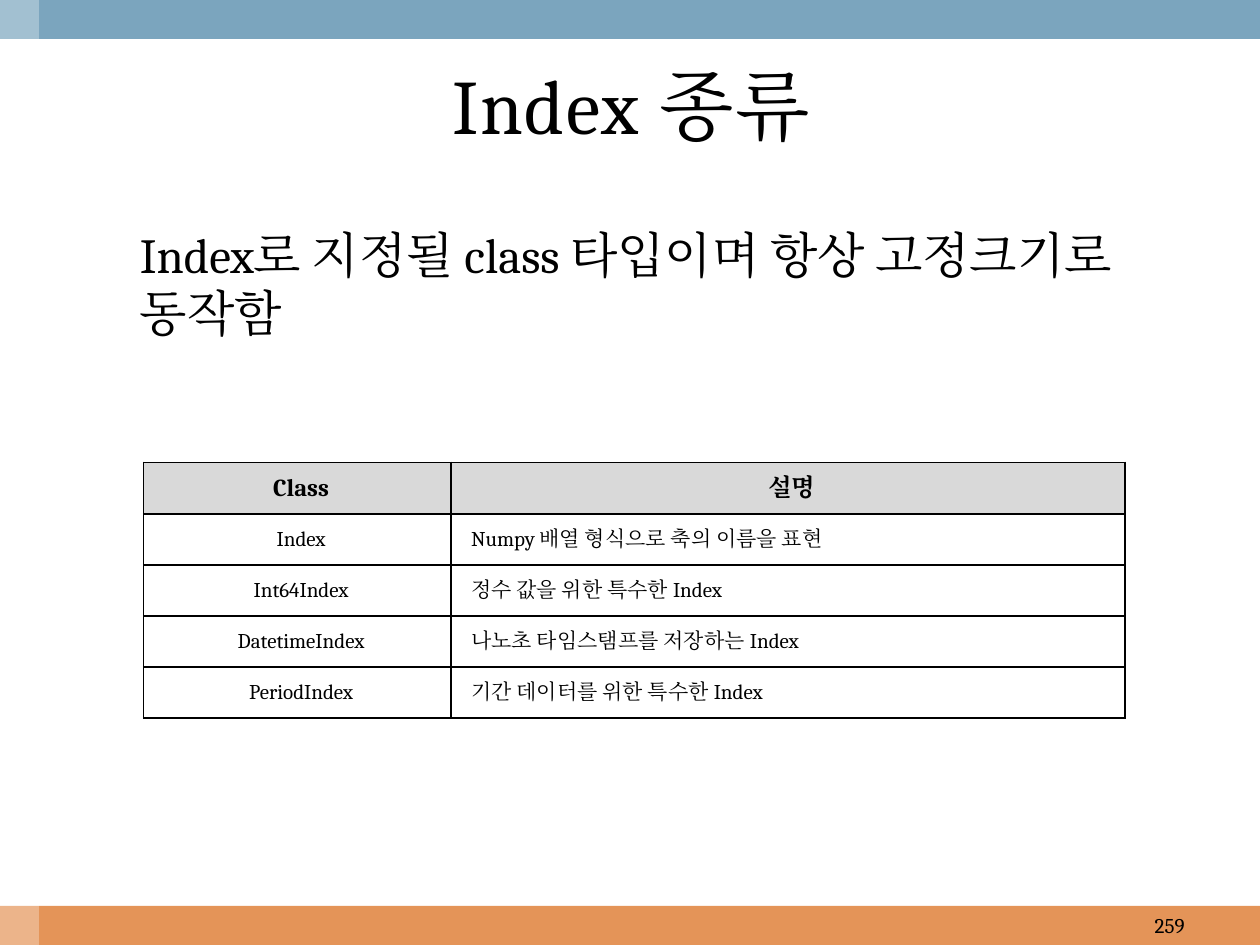
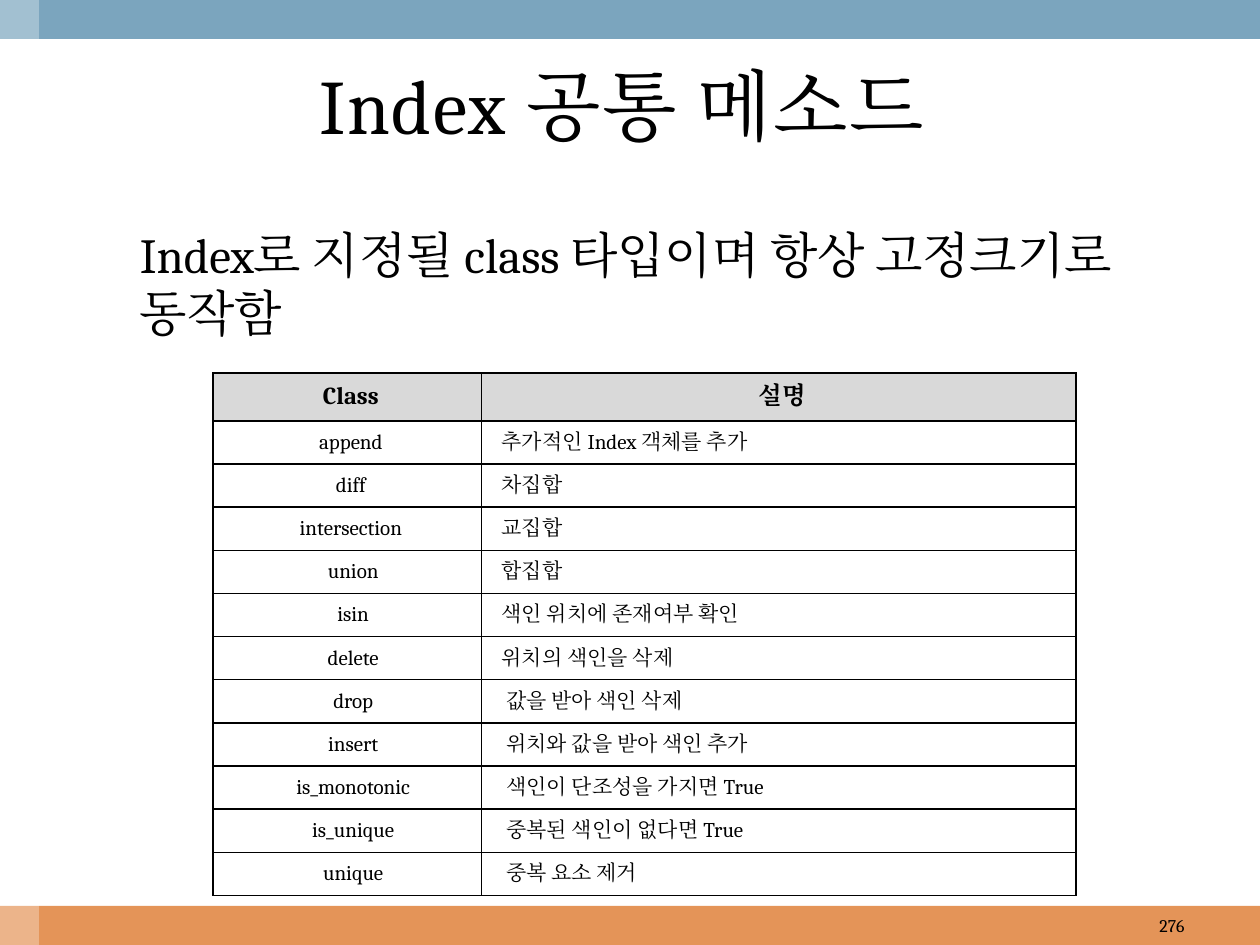
from lxml.etree import SubElement
from pptx import Presentation
from pptx.dml.color import RGBColor
from pptx.enum.shapes import MSO_SHAPE
from pptx.enum.text import MSO_ANCHOR as ANCHOR, PP_ALIGN as ALIGN
from pptx.oxml.ns import qn
from pptx.util import Inches, Pt

SLIDE_W, SLIDE_H, BAND = 10, 7.5, 0.31
BODY = "Index로 지정될 class 타입이며 항상 고정크기로 동작함"
HEADER = ("Class", "설명")

INDEX_CLASSES = [
    ("Index", "Numpy 배열 형식으로 축의 이름을 표현"),
    ("Int64Index", "정수 값을 위한 특수한 Index"),
    ("DatetimeIndex", "나노초 타임스탬프를 저장하는 Index"),
    ("PeriodIndex", "기간 데이터를 위한 특수한 Index"),
]
INDEX_METHODS = [
    ("append", "추가적인 Index 객체를 추가"),
    ("diff", "차집합"),
    ("intersection", "교집합"),
    (" union", "합집합"),
    (" isin", "색인 위치에 존재여부 확인"),
    (" delete", "위치의 색인을 삭제"),
    (" drop", " 값을 받아 색인 삭제"),
    (" insert", " 위치와 값을 받아 색인 추가"),
    (" is_monotonic", " 색인이 단조성을 가지면 True"),
    (" is_unique", " 중복된 색인이 없다면 True"),
    (" unique", " 중복 요소 제거"),
]


def rgb(code):
    return RGBColor.from_string(code)


class Deck:
    font = "Cambria"
    ink, paper, head = "000000", "FFFFFF", "D9D9D9"
    blue, orange = "7BA5BE", "E49458"

    def __init__(self):
        self.prs = Presentation()
        self.prs.slide_width = Inches(SLIDE_W)
        self.prs.slide_height = Inches(SLIDE_H)
        self.s = None

    def slide(self, title, number, number_size):
        """Start a slide with its bands, title, body line and number."""
        self.s = self.prs.slides.add_slide(self.prs.slide_layouts[5])
        self.bar(0, SLIDE_H - BAND, SLIDE_W, BAND, self.orange)
        self.bar(0, 0, SLIDE_W, BAND, self.blue)
        self.bar(0, 0, BAND, SLIDE_H, self.paper, alpha=30)
        self.title(title)
        self.text(BODY, 0.51, 1.73, 9, 1, 28, indent=0.5)
        self.text(number, 7.17, SLIDE_H - BAND, 2.33, BAND, number_size,
                  ALIGN.RIGHT, ANCHOR.MIDDLE)

    def bar(self, x, y, w, h, color, alpha=None):
        sp = self.s.shapes.add_shape(MSO_SHAPE.RECTANGLE, Inches(x), Inches(y),
                                     Inches(w), Inches(h))
        sp.shadow.inherit = False
        sp.line.fill.background()
        sp.fill.solid()
        sp.fill.fore_color.rgb = rgb(color)
        if alpha is not None:
            clr = sp.fill._xPr.find(".//" + qn("a:srgbClr"))
            SubElement(clr, qn("a:alpha"), val=str(alpha * 1000))

    def style(self, p, size, align=ALIGN.LEFT, bold=False):
        p.alignment = align
        f = p.font
        f.name, f.size, f.bold = self.font, Pt(size), bold
        f.color.rgb = rgb(self.ink)
        # Korean text takes the same font
        for script in ("a:ea", "a:cs"):
            SubElement(f._element, qn(script), typeface=self.font)

    def title(self, text):
        sp = self.s.shapes.title
        sp.left, sp.top = Inches(0.33), Inches(0.31)
        sp.width, sp.height = Inches(9.36), Inches(1.03)
        tf = sp.text_frame
        tf.text = text
        tf.vertical_anchor = ANCHOR.MIDDLE
        p = tf.paragraphs[0]
        self.style(p, 44, ALIGN.CENTER)
        p.font._element.set("spc", "100")

    def text(self, text, x, y, w, h, size, align=ALIGN.LEFT,
             anchor=ANCHOR.TOP, indent=0):
        sp = self.s.shapes.add_textbox(Inches(x), Inches(y), Inches(w), Inches(h))
        tf = sp.text_frame
        tf.word_wrap = True
        tf.vertical_anchor = anchor
        tf.margin_left = Inches(0.1 + indent)
        tf.text = text
        self.style(tf.paragraphs[0], size, align)

    def table(self, rows, x, y, widths, height, head_height):
        row_height = (height - head_height) / len(rows)
        rows = [HEADER, *rows]
        frame = self.s.shapes.add_table(len(rows), len(widths), Inches(x), Inches(y),
                                        Inches(sum(widths)), Inches(height))
        table = frame.table
        table.first_row = table.horz_banding = False
        for col, width in zip(table.columns, widths):
            col.width = Inches(width)
        for i, row in enumerate(rows):
            table.rows[i].height = Inches(row_height if i else head_height)
            for j, text in enumerate(row):
                self.cell(table.cell(i, j), text, i == 0, j == 0)

    def cell(self, cell, text, is_head, is_name):
        cell.text = text
        cell.vertical_anchor = ANCHOR.MIDDLE
        cell.margin_left, cell.margin_right = Inches(0.16), Inches(0.1)
        cell.margin_top = cell.margin_bottom = Inches(0.05)
        align = ALIGN.CENTER if is_head or is_name else ALIGN.LEFT
        self.style(cell.text_frame.paragraphs[0], 14 if is_head else 12, align, is_head)
        # Borders go before the fill in the cell properties
        tc_pr = cell._tc.get_or_add_tcPr()
        for side in ("a:lnL", "a:lnR", "a:lnT", "a:lnB"):
            ln = SubElement(tc_pr, qn(side), w=str(Pt(1)))
            fill = SubElement(ln, qn("a:solidFill"))
            SubElement(fill, qn("a:srgbClr"), val=self.ink)
        cell.fill.solid()
        cell.fill.fore_color.rgb = rgb(self.head if is_head else self.paper)


def main():
    deck = Deck()

    # Index classes
    deck.slide("Index 종류", "259", 12)
    deck.table(INDEX_CLASSES, 1.14, 3.67, (2.44, 5.35), 2.03, 0.41)

    # Methods common to every index
    deck.slide("Index 공통 메소드 ", "276", 10.2)
    deck.table(INDEX_METHODS, 1.69, 2.96, (2.13, 4.72), 4.15, 0.38)

    deck.prs.save("out.pptx")


if __name__ == "__main__":
    main()
